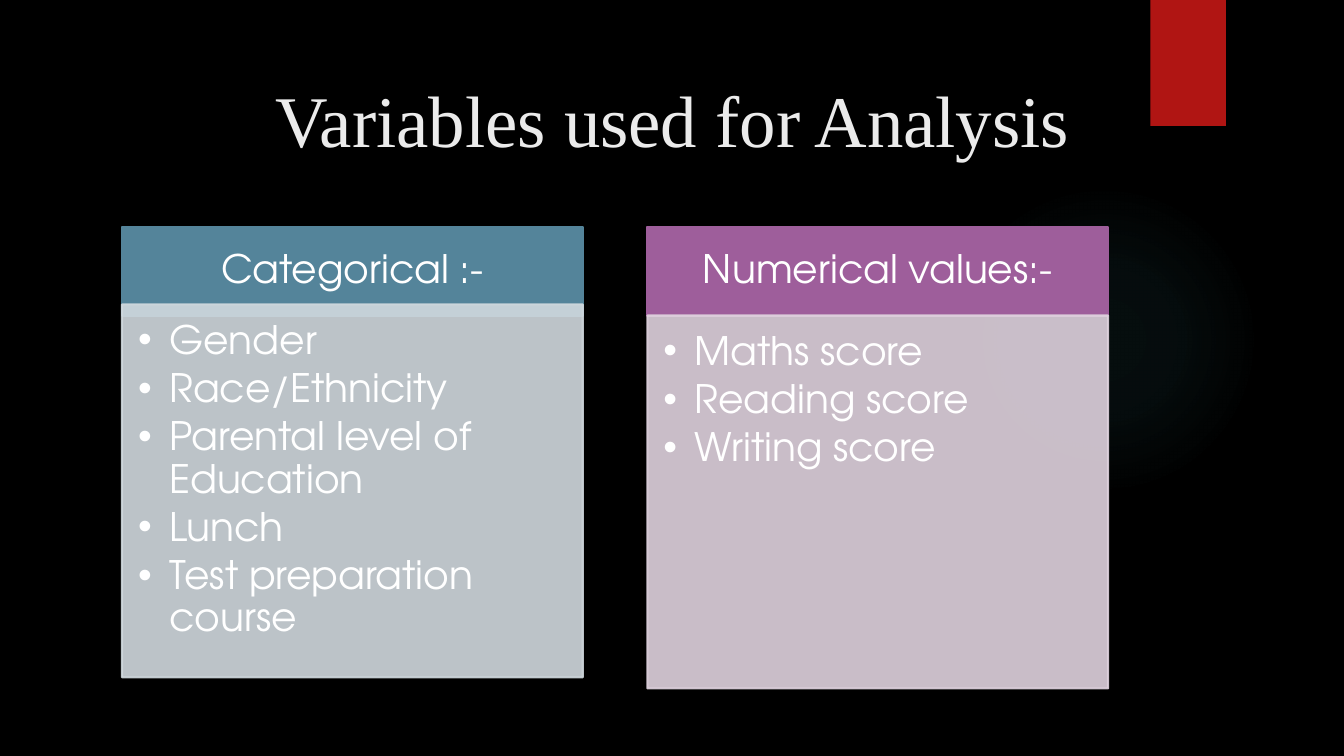
from lxml import etree
from pptx import Presentation
from pptx import util as u
from pptx.dml.color import RGBColor
from pptx.enum import shapes, text
from pptx.oxml import parse_xml
from pptx.oxml.ns import nsdecls, qn

hues = {"back": "000000", "title": "EBEBEB", "white": "FFFFFF", "red": "B01513",
        "glow": "50B9C1", "blue": "54849A", "pale blue": "D1D9DE",
        "plum": "9E5E9B", "pale plum": "DFD2DE"}
sans = "TeX Gyre Adventor"


def write(box, lines, font=sans, size=28, hue="white", align=text.PP_ALIGN.CENTER,
          anchor=text.MSO_ANCHOR.MIDDLE, pad=(0.1, 0.05, 0.1, 0.05), after=0, bullet=None):
    frame = box.text_frame
    frame.text = "\n".join(lines)
    frame.word_wrap = True
    frame.auto_size = text.MSO_AUTO_SIZE.NONE
    frame.vertical_anchor = anchor
    (frame.margin_left, frame.margin_top,
     frame.margin_right, frame.margin_bottom) = [u.Inches(n) for n in pad]
    for par in frame.paragraphs:
        par.alignment = align
        par.line_spacing = 0.9
        par.space_before = u.Pt(0)
        par.space_after = u.Pt(after)
        face = par.runs[0].font
        face.name, face.size, face.bold = font, u.Pt(size), False
        face.color.rgb = RGBColor.from_string(hues[hue])
        if bullet:
            props = par._p.get_or_add_pPr()
            props.set("marL", str(u.Inches(0.31)))
            props.set("indent", str(u.Inches(-0.31)))
            etree.SubElement(props, qn("a:buChar")).set("char", bullet)


def paint(box, hue, alpha=100):
    tone = RGBColor.from_string(hues[hue])
    box.fill.solid()
    box.fill.fore_color.rgb = tone
    box.line.color.rgb = tone
    box.line.width = u.Pt(1.5)
    if alpha < 100:
        for tag in box._element.spPr.iter(qn("a:srgbClr")):
            etree.SubElement(tag, qn("a:alpha")).set("val", str(alpha * 1000))


deck = Presentation()
deck.slide_width, deck.slide_height = u.Inches(13.33), u.Inches(7.5)
slide = deck.slides.add_slide(deck.slide_layouts.get_by_name("Comparison"))
slide.background.fill.solid()
slide.background.fill.fore_color.rgb = RGBColor.from_string(hues["back"])

# Backdrop: soft glow and red ribbon, behind the placeholders
glow = slide.shapes.add_shape(shapes.MSO_SHAPE.OVAL, *map(u.Inches, (9.41, 1.83, 3.08, 3.08)))
glow.line.fill.background()
stops = "".join(
    f'<a:gs pos="{pos * 1000}"><a:srgbClr val="{hues["glow"]}">'
    f'<a:alpha val="{alpha * 1000}"/></a:srgbClr></a:gs>'
    for pos, alpha in ((0, 7), (36, 6), (69, 0), (100, 0)))
glow._element.spPr.find(qn("a:prstGeom")).addnext(parse_xml(
    f'<a:gradFill {nsdecls("a")}><a:gsLst>{stops}</a:gsLst><a:path path="circle">'
    '<a:fillToRect l="50000" t="50000" r="50000" b="50000"/></a:path></a:gradFill>'))
ribbon = slide.shapes.add_shape(shapes.MSO_SHAPE.RECTANGLE, *map(u.Inches, (11.41, 0, 0.75, 1.25)))
paint(ribbon, "red")
ribbon.line.fill.background()
for spot, part in enumerate((glow, ribbon), 2):
    part.shadow.inherit = False
    slide.shapes._spTree.insert(spot, part._element)

# Title
title = slide.shapes.title
title.left, title.top, title.width, title.height = map(u.Inches, (0.92, 0.61, 11.5, 1.24))
write(title, ["Variables used for Analysis"], font="Times New Roman", size=52, hue="title")

# Two columns: a header bar over a list panel
left, top, wide, step = 1.21, 2.25, 4.57, 5.21
cols = [
    ("Categorical :-", "blue", 3.02,
     ["Gender", "Race/Ethnicity", "Parental level of Education", "Lunch",
      "Test preparation course"]),
    ("Numerical values:-", "plum", 3.13,
     ["Maths score", "Reading score", "Writing score"]),
]
for col, (name, hue, low, items) in enumerate(cols):
    head, body = [slide.placeholders[2 * col + n] for n in (1, 2)]
    for box, y, high in ((head, top, 0.88), (body, low, 3.7)):
        box.left, box.top = u.Inches(left + col * step), u.Inches(y)
        box.width, box.height = u.Inches(wide), u.Inches(high)
    paint(head, hue)
    write(head, [name], pad=(0.22, 0.12, 0.22, 0.12))
    paint(body, "pale " + hue, alpha=90)
    write(body, items, align=text.PP_ALIGN.LEFT, anchor=text.MSO_ANCHOR.TOP,
          pad=(0.16, 0.16, 0.22, 0.24), after=4.2, bullet="•")

deck.save("out.pptx")
